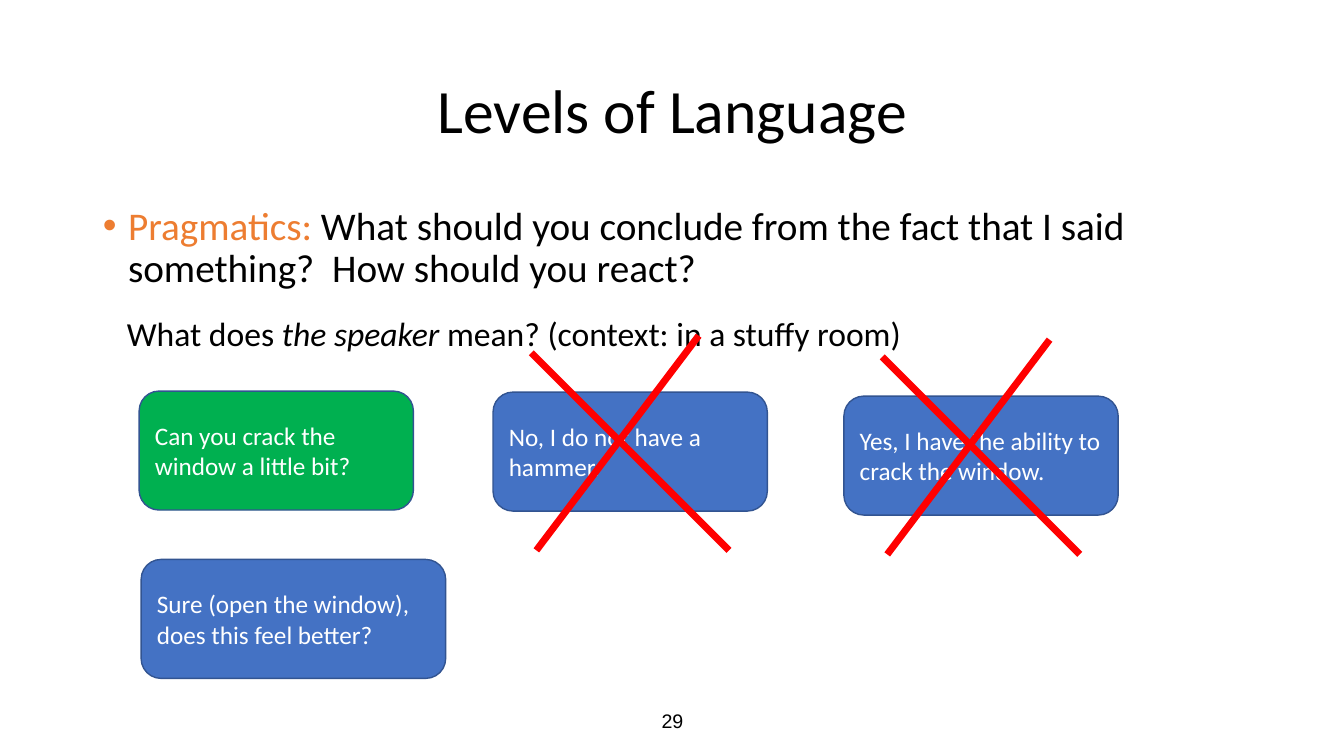
from pptx import Presentation
from pptx.dml.color import RGBColor
from pptx.enum.shapes import MSO_CONNECTOR, MSO_SHAPE
from pptx.enum.text import MSO_ANCHOR, PP_ALIGN
from pptx.oxml.ns import qn
from pptx.util import Inches, Pt
from lxml.etree import SubElement

TITLE = "Levels of Language"
BODY = [("Pragmatics:", "ED7D31"),
        (" What should you conclude from the fact that I said something?  How should you react?", "000000")]
ASK = [("What does ", False), ("the speaker ", True),
       ("mean? (context: in a stuffy room)", False)]
PAGE = "29"
GREEN, BLUE = "00B050", "4472C4"
CARDS = [
    ("Can you crack the window a little bit?", 1.38, 3.88, 2.72, GREEN, False),
    ("No, I do not have a hammer.", 4.89, 3.89, 2.72, BLUE, True),
    ("Yes, I have the ability to crack the window.", 8.37, 3.93, 2.72, BLUE, True),
    ("Sure (open the window), does this feel better?", 1.4, 5.55, 3.02, BLUE, False),
]
HIGH = 1.18
CROSS = [(0.38, -0.39, 2.34, 1.57), (2.04, -0.56, 0.43, 1.57)]


def tint(code):
    return RGBColor.from_string(code)


def style(para, size, code=None, face="Calibri", align=PP_ALIGN.LEFT):
    para.alignment = align
    para.font.size = Pt(size)
    para.font.name = face
    if code:
        para.font.color.rgb = tint(code)


def place(shape, *box):
    shape.left, shape.top, shape.width, shape.height = map(Inches, box)


def strike(slide, x, y):
    group = slide.shapes.add_group_shape()
    for x1, y1, x2, y2 in CROSS:
        ends = map(Inches, (x + x1, y + y1, x + x2, y + y2))
        line = group.shapes.add_connector(MSO_CONNECTOR.STRAIGHT, *ends)
        line.line.color.rgb = tint("FF0000")
        line.line.width = Pt(5)
        SubElement(line._element.spPr, qn("a:effectLst"))


def card(slide, text, x, y, wide, fill, wrong):
    box = slide.shapes.add_shape(MSO_SHAPE.ROUNDED_RECTANGLE,
                                 *map(Inches, (x, y, wide, HIGH)))
    box.shadow.inherit = False
    box.fill.solid()
    box.fill.fore_color.rgb = tint(fill)
    box.line.color.rgb = tint("325491")
    box.line.width = Pt(1)
    frame = box.text_frame
    frame.word_wrap = True
    frame.vertical_anchor = MSO_ANCHOR.MIDDLE
    frame.text = text
    style(frame.paragraphs[0], 18, "FFFFFF")
    if wrong:
        strike(slide, x, y)


def main():
    deck = Presentation()
    deck.slide_width, deck.slide_height = Inches(13.33), Inches(7.5)
    slide = deck.slides.add_slide(deck.slide_layouts[1])

    page = slide.shapes.add_textbox(*map(Inches, (4.42, 6.95, 4.5, 0.4))).text_frame
    page.word_wrap = True
    page.vertical_anchor = MSO_ANCHOR.MIDDLE
    page.text = PAGE
    style(page.paragraphs[0], 14, "000000", "Arial", PP_ALIGN.CENTER)

    title = slide.shapes.title
    place(title, 0.92, 0.4, 11.5, 1.45)
    title.text_frame.vertical_anchor = MSO_ANCHOR.MIDDLE
    title.text_frame.text = TITLE
    head = title.text_frame.paragraphs[0]
    head.line_spacing = 0.9
    style(head, 44, "000000", align=PP_ALIGN.CENTER)

    body = slide.placeholders[1]
    place(body, 0.92, 2, 11.5, 4.76)
    para = body.text_frame.paragraphs[0]
    props = para._p.get_or_add_pPr()
    props.set("marL", str(Inches(0.25)))
    props.set("indent", str(Inches(-0.25)))
    SubElement(props, qn("a:buFont"), typeface="Arial")
    SubElement(props, qn("a:buChar"), char="•")
    para.line_spacing = 0.9
    para.space_before = Pt(0)
    style(para, 28)
    for text, code in BODY:
        run = para.add_run()
        run.text = text
        run.font.color.rgb = tint(code)

    ask = slide.shapes.add_textbox(*map(Inches, (1.16, 3.06, 7.96, 0.5)))
    ask.text_frame.word_wrap = False
    para = ask.text_frame.paragraphs[0]
    style(para, 24, "000000")
    for text, slant in ASK:
        run = para.add_run()
        run.text = text
        run.font.italic = slant

    for item in CARDS:
        card(slide, *item)
    deck.save("out.pptx")


if __name__ == "__main__":
    main()
